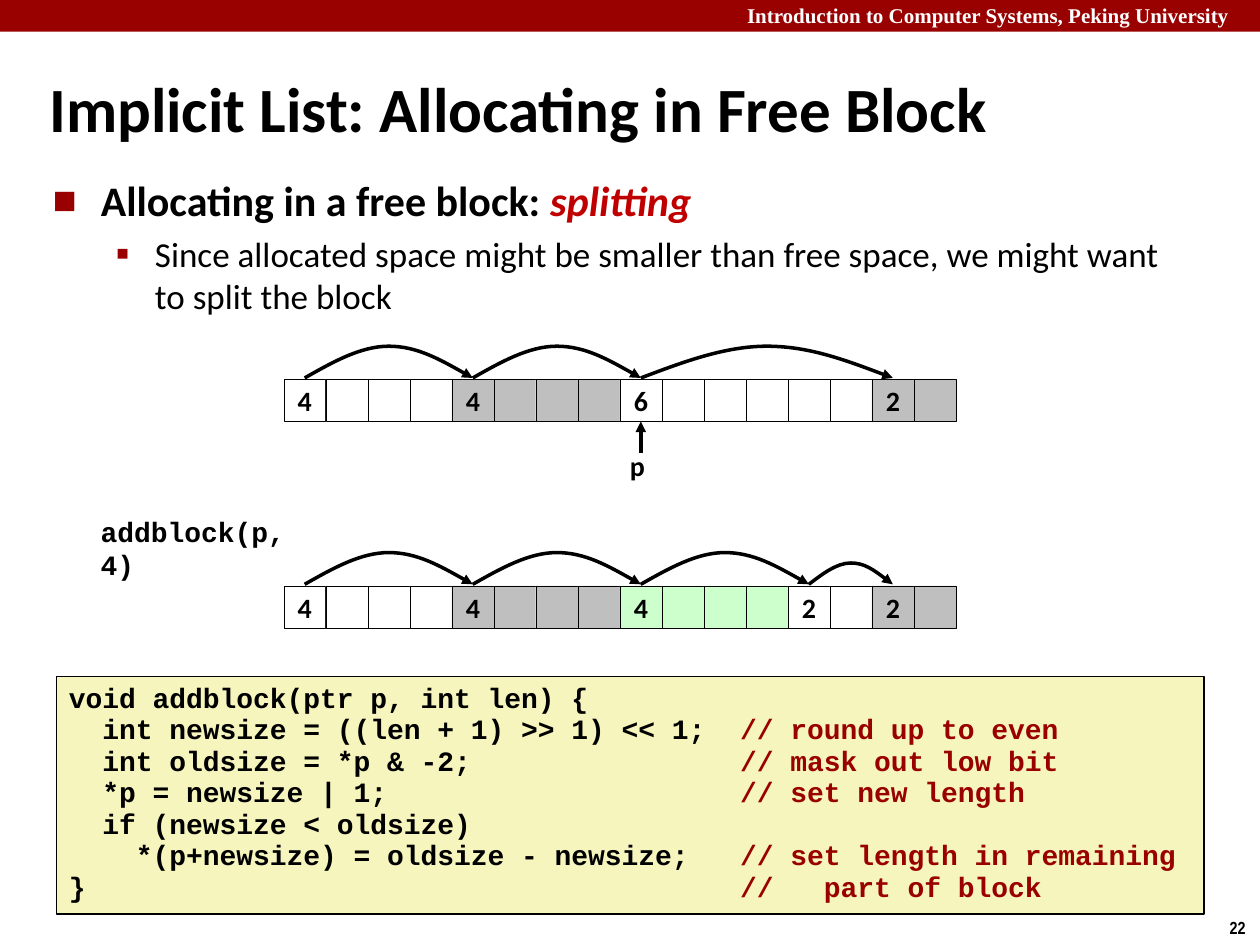
from lxml.etree import SubElement
from pptx import Presentation
from pptx.dml.color import RGBColor
from pptx.enum.shapes import MSO_CONNECTOR, MSO_SHAPE
from pptx.enum.text import MSO_ANCHOR, MSO_AUTO_SIZE, PP_ALIGN
from pptx.oxml.ns import qn
from pptx.util import Cm, Pt

BLACK = RGBColor(0x00, 0x00, 0x00)
WHITE = RGBColor(0xFF, 0xFF, 0xFF)
DARK_RED = RGBColor(0x99, 0x00, 0x00)
RED = RGBColor(0xC0, 0x00, 0x00)
GRAY = RGBColor(0xBF, 0xBF, 0xBF)
GREEN = RGBColor(0xCC, 0xFF, 0xCC)
CREAM = RGBColor(0xF6, 0xF5, 0xBD)

ROW_WORDS = 16
CODE = [
    ("void addblock(ptr p, int len) {", ""),
    ("  int newsize = ((len + 1) >> 1) << 1;", "// round up to even"),
    ("  int oldsize = *p & -2;", "// mask out low bit"),
    ("  *p = newsize | 1;", "// set new length"),
    ("  if (newsize < oldsize)", ""),
    ("    *(p+newsize) = oldsize - newsize;", "// set length in remaining"),
    ("}", "//   part of block"),
]


def set_font(font, name, size, color=BLACK, bold=True):
    font.name, font.size, font.bold = name, Pt(size), bold
    font.color.rgb = color


def place(shape, left, top, width, height):
    shape.left, shape.top = Cm(left), Cm(top)
    shape.width, shape.height = Cm(width), Cm(height)


def add_box(page, left, top, width, height, fill, line_width=None):
    box = page.shapes.add_shape(MSO_SHAPE.RECTANGLE, Cm(left), Cm(top), Cm(width), Cm(height))
    box.shadow.inherit = False
    box.fill.solid()
    box.fill.fore_color.rgb = fill
    if line_width is None:
        box.line.fill.background()
    else:
        box.line.color.rgb = BLACK
        box.line.width = Pt(line_width)
    return box


def add_label(page, left, top, width, height, text, name, size, color=BLACK):
    label = page.shapes.add_textbox(Cm(left), Cm(top), Cm(width), Cm(height))
    label.text_frame.word_wrap = False
    para = label.text_frame.paragraphs[0]
    para.text = text
    set_font(para.font, name, size, color)
    return label


def style_arrow(shape):
    shape.line.color.rgb = BLACK
    shape.line.width = Pt(2)
    SubElement(shape.line._get_or_add_ln(), qn("a:tailEnd"), type="triangle")


def add_arc(page, start, end, base, height):
    """Arrowed hump from start to end, made of two cubic curves."""
    step = (end - start) / 6
    rises = (0.5, 1, 1, 1, 0.5, 0)
    points = [(Cm(start + step * i), Cm(base - height * rise))
              for i, rise in enumerate(rises, 1)]
    builder = page.shapes.build_freeform(Cm(start), Cm(base))
    builder.add_line_segments(points, close=False)
    arc = builder.convert_to_shape()
    arc.shadow.inherit = False
    arc.fill.background()
    # Turn each three line segments into one cubic curve
    segments = list(arc._element.iter(qn("a:lnTo")))
    for first in (0, 3):
        curve = SubElement(segments[0].getparent(), qn("a:cubicBezTo"))
        for segment in segments[first:first + 3]:
            curve.append(segment[0])
    for segment in segments:
        segment.getparent().remove(segment)
    style_arrow(arc)


def add_header(page, left, top, width, height):
    add_box(page, left, top, width, height, DARK_RED)
    add_label(page, left + 14.81, top - 0.08, 10.77, 0.76,
              "Introduction to Computer Systems, Peking University",
              "Times New Roman", 12, WHITE)


def add_title(page, left, top, width, height):
    title = page.shapes.title
    place(title, left, top, width, height)
    frame = title.text_frame
    frame.auto_size = MSO_AUTO_SIZE.NONE
    frame.vertical_anchor = MSO_ANCHOR.MIDDLE
    para = frame.paragraphs[0]
    para.text = "Implicit List: Allocating in Free Block"
    para.alignment = PP_ALIGN.LEFT
    set_font(para.font, "Calibri", 36)


def add_bullet(para, char, percent, margin, hanging):
    props = para._p.get_or_add_pPr()
    props.set("marL", str(Cm(margin)))
    props.set("indent", str(-Cm(hanging)))
    SubElement(SubElement(props, qn("a:buClr")), qn("a:srgbClr"), val=str(DARK_RED))
    SubElement(props, qn("a:buSzPct"), val=str(percent * 1000))
    SubElement(props, qn("a:buFont"), typeface="Calibri")
    SubElement(props, qn("a:buChar"), char=char)


def add_body(page, left, top, width, height):
    body = page.placeholders[1]
    place(body, left, top, width, height)
    frame = body.text_frame
    frame.auto_size = MSO_AUTO_SIZE.NONE
    para = frame.paragraphs[0]
    add_bullet(para, "■", 60, 0.97, 0.97)
    para.space_before = Pt(0)
    set_font(para.font, "Calibri", 24)
    para.add_run().text = "Allocating in a free block: "
    span = para.add_run()
    span.text = "splitting"
    span.font.italic = True
    span.font.color.rgb = RED

    para = frame.add_paragraph()
    para.level = 1
    add_bullet(para, "▪", 110, 2.06, 0.79)
    para.space_before = Pt(4)
    set_font(para.font, "Calibri", 20, bold=False)
    para.add_run().text = ("Since allocated space might be smaller than free space, "
                           "we might want to split the block")


def add_heap_row(page, left, top, width, blocks):
    """Draw blocks of (length, fill); return the first cell of each block."""
    size = width / ROW_WORDS
    heads = []
    start = 0
    for length, fill in blocks:
        cells = [add_box(page, left + size * (start + i), top, size, size, fill, 0.25)
                 for i in range(length)]
        frame = cells[0].text_frame
        frame.word_wrap = False
        frame.vertical_anchor = MSO_ANCHOR.MIDDLE
        para = frame.paragraphs[0]
        para.text = str(length)
        para.alignment = PP_ALIGN.CENTER
        set_font(para.font, "Calibri", 16)
        heads.append(cells[0])
        start += length
    # Arcs from each block head to the next
    center = left + size / 2
    for length, _ in blocks[:-1]:
        add_arc(page, center, center + size * length, top - 0.03,
                0.64 if length > 2 else 0.43)
        center += size * length
    return heads


def add_pointer(page, cell, left, top):
    add_label(page, left, top, 0.81, 0.94, "p", "Calibri", 16)
    center = cell.left + cell.width // 2
    bottom = cell.top + cell.height
    arrow = page.shapes.add_connector(MSO_CONNECTOR.STRAIGHT, center, bottom + Cm(0.64),
                                      center, bottom)
    arrow.end_connect(cell, 2)
    style_arrow(arrow)
    SubElement(arrow._element.spPr, qn("a:effectLst"))


def add_code(page, left, top, width, height):
    frame = add_box(page, left, top, width, height, CREAM, 1).text_frame
    frame.word_wrap = False
    frame.vertical_anchor = MSO_ANCHOR.TOP
    for i, (statement, comment) in enumerate(CODE):
        para = frame.add_paragraph() if i else frame.paragraphs[0]
        # Comments line up at one tab stop
        tabs = SubElement(para._p.get_or_add_pPr(), qn("a:tabLst"))
        SubElement(tabs, qn("a:tab"), pos=str(Cm(13.53)), algn="l")
        para.alignment = PP_ALIGN.LEFT
        para.line_spacing = 0.94
        set_font(para.font, "Courier New", 16)
        para.add_run().text = statement
        if comment:
            span = para.add_run()
            span.text = "\t" + comment
            span.font.color.rgb = DARK_RED


def main():
    deck = Presentation()
    deck.slide_width, deck.slide_height = Cm(25.4), Cm(19.05)
    page = deck.slides.add_slide(deck.slide_layouts[1])
    add_header(page, 0, 0, 25.4, 0.64)
    add_title(page, 0.74, 1.37, 23.93, 1.6)
    add_body(page, 0.81, 3.4, 23.09, 14.5)
    add_code(page, 1.14, 13.64, 23.14, 4.78)
    # Heap before and after the split
    heads = add_heap_row(page, 5.72, 7.65, 13.55,
                         [(4, WHITE), (4, GRAY), (6, WHITE), (2, GRAY)])
    add_pointer(page, heads[2], 12.45, 8.92)
    add_label(page, 1.78, 10.24, 5.05, 0.84, "addblock(p, 4)", "Courier New", 16)
    add_heap_row(page, 5.72, 11.81, 13.55,
                 [(4, WHITE), (4, GRAY), (4, GREEN), (2, WHITE), (2, GRAY)])
    # Page number
    add_label(page, 24.54, 18.36, 0.86, 0.69, "22", "Arial Narrow", 10)
    deck.save("out.pptx")


if __name__ == "__main__":
    main()
